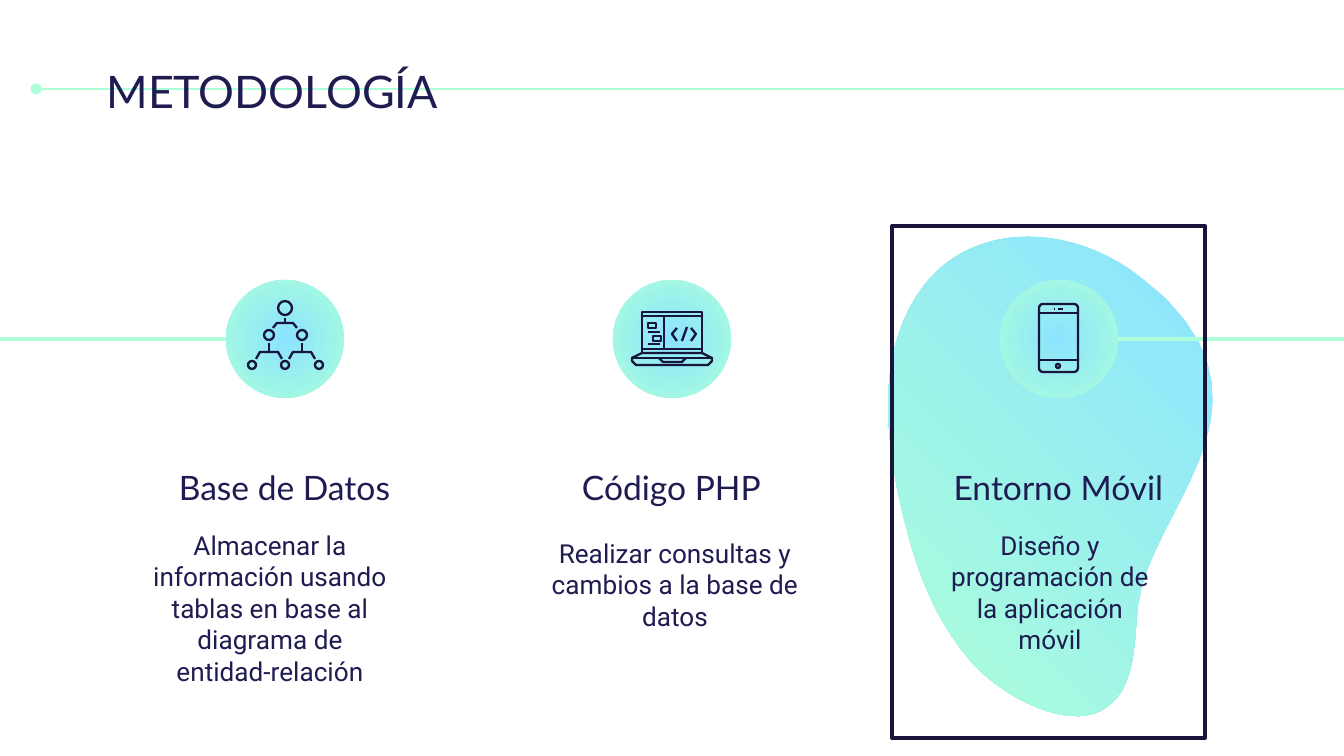
import pptx
import pptx.dml.color
import pptx.enum.shapes
import pptx.enum.text
import pptx.oxml
import pptx.oxml.ns
import pptx.util
import lxml.etree

SCALE = 9144000 / 1344
INK = pptx.dml.color.RGBColor(0x1F, 0x1C, 0x51)
ICON = pptx.dml.color.RGBColor(0x17, 0x15, 0x3D)
FRAME = pptx.dml.color.RGBColor(0x17, 0x15, 0x3C)
SKY = pptx.dml.color.RGBColor(0x8B, 0xE3, 0xFF)
MINT = pptx.dml.color.RGBColor(0xAC, 0xFF, 0xD9)
KIND = pptx.enum.shapes.MSO_SHAPE
ANCHOR = pptx.enum.text.MSO_ANCHOR
ALIGN = pptx.enum.text.PP_ALIGN
qn = pptx.oxml.ns.qn

CENTRES = [285, 672, 1059]
CIRCLE = 118
MIDDLE = 339
HEADINGS = ["Base de Datos", "Código PHP", "Entorno Móvil"]
BODIES = [
    ("Almacenar la información usando tablas en base al diagrama de\nentidad-relación",
     (128, 516, 284, 169)),
    ("Realizar consultas y cambios a la base de datos", (523, 524, 304, 169)),
    ("Diseño y programación de la aplicación móvil", (929, 516, 242, 169)),
]
BLOB_START = (1168, 301)
BLOB_CURVES = [
    ((1161, 294), (1153, 288), (1145, 281)),
    ((1094, 238), (1027, 227), (980, 245)),
    ((931, 262), (903, 306), (892, 359)),
    ((883, 411), (891, 470), (907, 530)),
    ((919, 577), (939, 628), (977, 668)),
    ((1017, 707), (1077, 730), (1107, 707)),
    ((1136, 687), (1134, 642), (1138, 605)),
    ((1149, 513), (1279, 414), (1168, 301)),
]


def px(length):
    return pptx.util.Emu(round(length * SCALE))


def write(page, box, text, frame, size, font, heading=False, align=ALIGN.CENTER, after=0):
    page.shapes.element.append(box.element)
    box.left, box.top, box.width, box.height = map(px, frame)
    words = box.text_frame
    words.word_wrap = True
    words.auto_size = pptx.enum.text.MSO_AUTO_SIZE.NONE
    words.vertical_anchor = ANCHOR.BOTTOM if heading else ANCHOR.TOP
    words.margin_left = words.margin_right = pptx.util.Inches(0.1)
    words.margin_top = words.margin_bottom = pptx.util.Inches(0.1)
    para = words.paragraphs[0]
    para.alignment = align
    para.space_before = pptx.util.Pt(0)
    para.space_after = pptx.util.Pt(after)
    properties = para._p.get_or_add_pPr()
    properties.set("marL", "0")
    properties.set("indent", "0")
    lxml.etree.SubElement(properties, qn("a:buNone"))
    for number, line in enumerate(text.split("\n")):
        if number:
            para.add_line_break()
        span = para.add_run()
        span.text = line
        span.font.name = font
        span.font.size = pptx.util.Pt(size)
        span.font.bold = False
        span.font.color.rgb = INK


def connect(shapes, start, end, colour=ICON, width=1.25, head=None):
    line = shapes.add_connector(pptx.enum.shapes.MSO_CONNECTOR.STRAIGHT,
                                *map(px, start + end))
    line.line.color.rgb = colour
    line.line.width = pptx.util.Pt(width)
    properties = line.element.spPr
    if head:
        lxml.etree.SubElement(properties.find(qn("a:ln")), qn("a:headEnd"), type=head)
    lxml.etree.SubElement(properties, qn("a:effectLst"))


def outline(shape, colour=ICON, width=1.25):
    shape.shadow.inherit = False
    shape.fill.background()
    shape.line.color.rgb = colour
    shape.line.width = pptx.util.Pt(width)


def draw_outline(shapes, kind, frame, colour=ICON, width=1.25):
    shape = shapes.add_shape(kind, *map(px, frame))
    outline(shape, colour, width)
    return shape


def freeform(shapes, points, close=False):
    corners = [(px(x), px(y)) for x, y in points]
    builder = shapes.build_freeform(*corners[0], scale=1.0)
    builder.add_line_segments(corners[1:], close=close)
    return builder.convert_to_shape()


def paint_gradient(shape, angle=None):
    shape.shadow.inherit = False
    shape.line.fill.background()
    shape.fill.gradient()
    for stop, colour in zip(shape.fill.gradient_stops, (SKY, MINT)):
        stop.color.rgb = colour
    if angle is not None:
        shape.fill.gradient_angle = angle
        return
    gradient = shape.element.spPr.find(qn("a:gradFill"))
    radial = lxml.etree.Element(qn("a:path"), path="circle")
    lxml.etree.SubElement(radial, qn("a:fillToRect"),
                          l="50000", t="50000", r="50000", b="50000")
    gradient.replace(gradient.find(qn("a:lin")), radial)


def add_blob(page):
    points = [BLOB_START]
    for first, second, last in BLOB_CURVES:
        start = points[-1]
        for step in range(1, 17):
            t = step / 16
            weights = ((1 - t) ** 3, 3 * t * (1 - t) ** 2, 3 * t * t * (1 - t), t ** 3)
            corners = (start, first, second, last)
            points.append(tuple(sum(w * corner[axis] for w, corner in zip(weights, corners))
                                for axis in (0, 1)))
    paint_gradient(freeform(page.shapes, points, close=True), angle=225)


def add_tree_icon(page):
    shapes = page.shapes.add_group_shape().shapes
    nodes = [(285, 308, 7), (269, 335, 5), (302, 335, 5),
             (252, 365, 4), (285, 365, 4), (319, 365, 4)]
    for x, y, radius in nodes:
        draw_outline(shapes, KIND.OVAL, (x - radius, y - radius, 2 * radius, 2 * radius))
    for x, stem, bar, foot, half in [(285, 318, 323, 328, 12),
                                     (269, 343, 352, 359, 13),
                                     (302, 343, 352, 359, 13)]:
        outline(freeform(shapes, [(x - half, foot), (x - half + 4, bar),
                                  (x + half - 4, bar), (x + half, foot)]))
        connect(shapes, (x, stem), (x, bar))


def add_laptop_icon(page):
    shapes = page.shapes.add_group_shape().shapes
    draw_outline(shapes, KIND.RECTANGLE, (642, 312, 60, 41))
    for frame in [(648, 323, 8, 5), (653, 336, 8, 5)]:
        draw_outline(shapes, KIND.RECTANGLE, frame)
    for start, end in [((642, 316), (702, 316)), ((642, 349), (702, 349)),
                       ((664, 316), (664, 349)), ((648, 332), (660, 332)),
                       ((648, 344), (660, 344)), ((632, 358), (712, 358)),
                       ((682, 341), (687, 327))]:
        connect(shapes, start, end)
    outline(freeform(shapes, [(642, 353), (702, 353), (712, 358), (712, 361), (708, 365),
                              (636, 365), (632, 361), (632, 358)], close=True))
    for points in [[(659, 358), (663, 362), (682, 362), (686, 358)],
                   [(677, 328), (672, 334), (677, 341)],
                   [(691, 328), (696, 334), (691, 341)]]:
        outline(freeform(shapes, points))


def add_phone_icon(page):
    shapes = page.shapes.add_group_shape().shapes
    body = draw_outline(shapes, KIND.ROUNDED_RECTANGLE, (1039, 304, 39, 68))
    body.adjustments[0] = 0.1
    draw_outline(shapes, KIND.OVAL, (1056, 364, 4, 4))
    for left, right, y in [(1039, 1078, 313), (1039, 1078, 360),
                           (1058, 1063, 309), (1054, 1055, 309)]:
        connect(shapes, (left, y), (right, y))


def main():
    deck = pptx.Presentation()
    deck.slide_width, deck.slide_height = px(1344), px(756)
    page = deck.slides.add_slide(deck.slide_layouts[4])
    holders = {holder.placeholder_format.idx: holder for holder in page.placeholders}

    connect(page.shapes, (36, 89), (1357, 89), MINT, 1.5, head="oval")
    add_blob(page)
    write(page, holders[0], "METODOLOGÍA", (93, 50, 894, 79), 24, "Lato", align=ALIGN.LEFT)

    heading_boxes = [holders[1], holders[3], page.shapes.add_textbox(0, 0, 0, 0)]
    body_boxes = [holders[2], holders[4], page.shapes.add_textbox(0, 0, 0, 0)]
    for centre, heading, box in zip(CENTRES, HEADINGS, heading_boxes):
        write(page, box, heading, (centre - 163, 442, 325, 79), 18, "Lato", heading=True)
    for (text, frame), box in zip(BODIES, body_boxes):
        write(page, box, text, frame, 14, "Roboto", after=16)

    for centre in CENTRES:
        circle = page.shapes.add_shape(
            KIND.OVAL, *map(px, (centre - CIRCLE // 2, MIDDLE - CIRCLE // 2, CIRCLE, CIRCLE)))
        paint_gradient(circle)
    connect(page.shapes, (226, MIDDLE), (-32, MIDDLE), MINT, 2.25)
    connect(page.shapes, (1118, MIDDLE), (1352, MIDDLE), MINT, 2.25)

    add_phone_icon(page)
    add_tree_icon(page)
    add_laptop_icon(page)
    draw_outline(page.shapes, KIND.RECTANGLE, (892, 226, 313, 512), FRAME, 2)
    deck.save("out.pptx")


if __name__ == "__main__":
    main()
